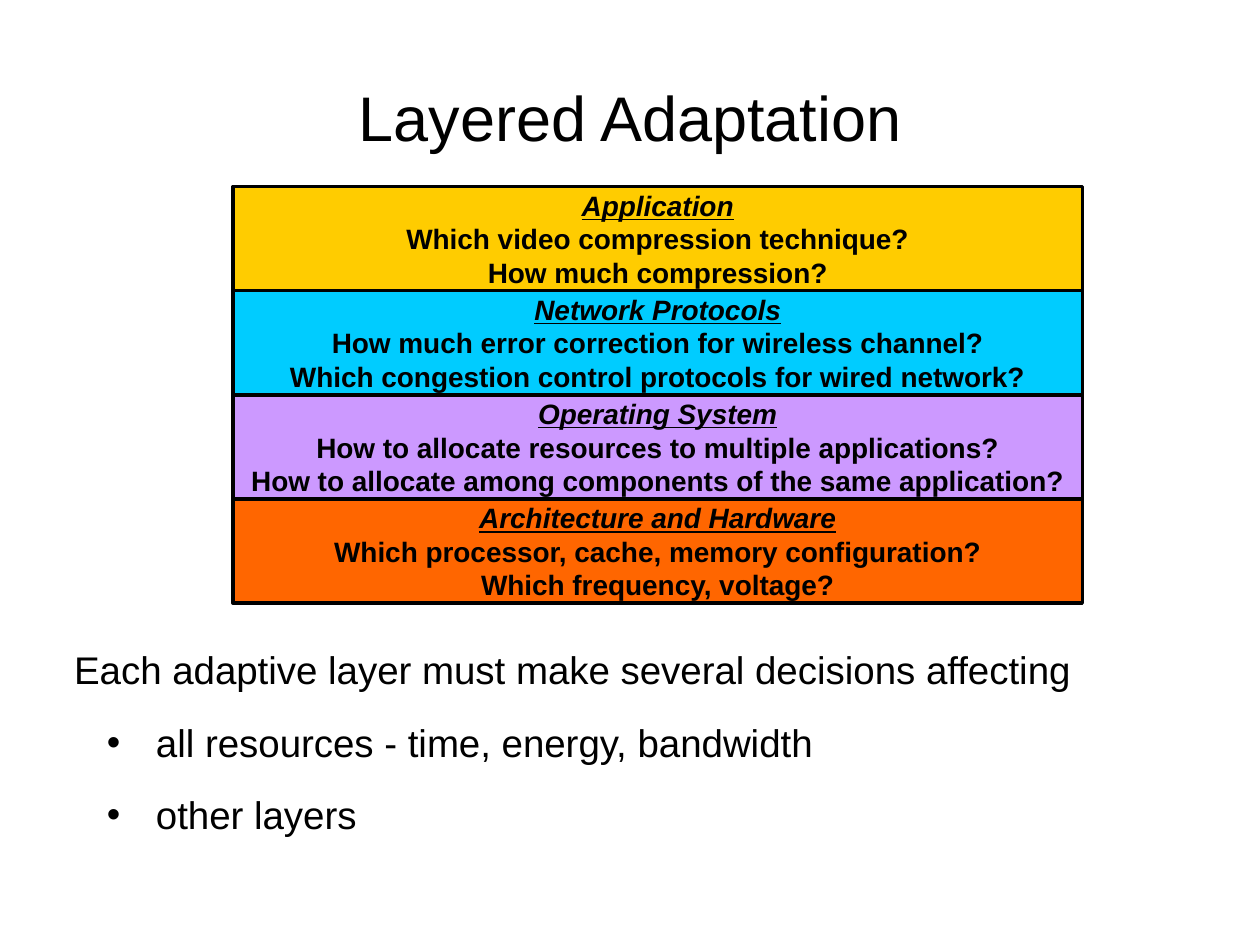
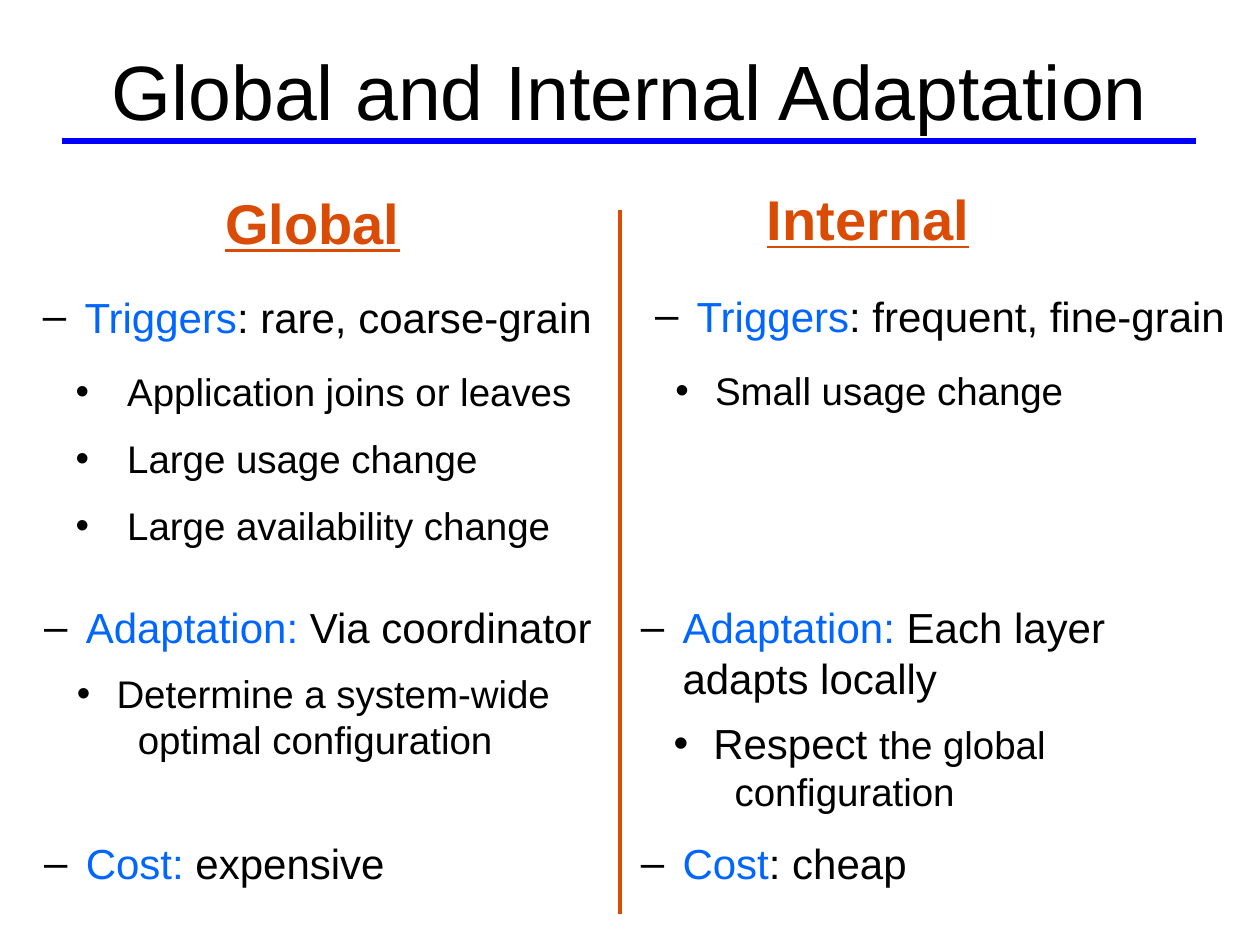
from dataclasses import dataclass
from lxml.etree import SubElement
from pptx import Presentation
from pptx.dml.color import RGBColor
from pptx.enum.shapes import MSO_CONNECTOR, MSO_SHAPE
from pptx.enum.text import MSO_ANCHOR, MSO_AUTO_SIZE, PP_ALIGN
from pptx.oxml.ns import qn
from pptx.util import Cm, Pt

FONT = "Arial"
COLORS = {
    "text": "000000",
    "term": "0066FF",
    "accent": "DA4C05",
    "rule": "0000FF",
    "application": "FFCC00",
    "network": "00CCFF",
    "system": "CC99FF",
    "hardware": "FF6600",
}
LAYERS = [
    ("application", "Application",
     "Which video compression technique?", "How much compression?"),
    ("network", "Network Protocols",
     "How much error correction for wireless channel?",
     "Which congestion control protocols for wired network?"),
    ("system", "Operating System",
     "How to allocate resources to multiple applications?",
     "How to allocate among components of the same application?"),
    ("hardware", "Architecture and Hardware",
     "Which processor, cache, memory configuration?", "Which frequency, voltage?"),
]


@dataclass
class Entry:
    runs: list
    bullet: str = ""
    margin: float = 0
    hanging: float = 0
    space: float = 0
    line_spacing: float = 1.0
    alignment: PP_ALIGN = PP_ALIGN.LEFT


def topic(term, rest, alignment=PP_ALIGN.LEFT):
    return Entry([(term, 24, "term"), (rest, 24, "text")], "–", 0.84, 0.84,
                 alignment=alignment)


def point(text, space, margin=1.46, lead=""):
    runs = [(lead, 24, "text")] if lead else []
    return Entry(runs + [(text, 22, "text")], "•", margin, margin - 0.66, space)


def continuation(text):
    return Entry([(text, 22, "text")], margin=1.89)


def rgb(name):
    return RGBColor.from_string(COLORS[name])


def style_font(font, size, color="text", bold=False, italic=False, underline=False):
    font.name = FONT
    font.size = Pt(size)
    font.color.rgb = rgb(color)
    font.bold = bold
    font.italic = italic
    font.underline = underline


def place(shape, left, top, width, height):
    shape.left, shape.top = Cm(left), Cm(top)
    shape.width, shape.height = Cm(width), Cm(height)


def prepare_frame(shape, anchor=MSO_ANCHOR.TOP):
    text_frame = shape.text_frame
    text_frame.word_wrap = True
    text_frame.auto_size = MSO_AUTO_SIZE.NONE
    text_frame.vertical_anchor = anchor
    return text_frame


def set_indent(paragraph, entry):
    properties = paragraph._p.get_or_add_pPr()
    properties.set("marL", str(Cm(entry.margin)))
    properties.set("indent", str(-Cm(entry.hanging)))
    if not entry.bullet:
        SubElement(properties, qn("a:buNone"))
        return
    color = SubElement(properties, qn("a:buClr"))
    SubElement(color, qn("a:srgbClr"), val=COLORS["text"])
    SubElement(properties, qn("a:buFont"), typeface=FONT)
    SubElement(properties, qn("a:buChar"), char=entry.bullet)


def fill_heading(shape, text, box, size, anchor, **style):
    place(shape, *box)
    text_frame = prepare_frame(shape, anchor)
    text_frame.text = text
    paragraph = text_frame.paragraphs[0]
    paragraph.alignment = PP_ALIGN.CENTER
    paragraph.space_before = Pt(0)
    style_font(paragraph.runs[0].font, size, **style)


def fill_list(shape, box, entries):
    place(shape, *box)
    text_frame = prepare_frame(shape)
    for index, entry in enumerate(entries):
        paragraph = text_frame.add_paragraph() if index else text_frame.paragraphs[0]
        set_indent(paragraph, entry)
        paragraph.alignment = entry.alignment
        paragraph.line_spacing = entry.line_spacing
        paragraph.space_before = Pt(entry.space)
        for text, size, color in entry.runs:
            run = paragraph.add_run()
            run.text = text
            style_font(run.font, size, color)


def add_list(slide, box, entries):
    fill_list(slide.shapes.add_textbox(0, 0, 0, 0), box, entries)


def add_layer(slide, top, height, color, name, *questions):
    shape = slide.shapes.add_shape(
        MSO_SHAPE.RECTANGLE, Cm(4.7), Cm(top), Cm(17.12), Cm(height))
    shape.shadow.inherit = False
    shape.fill.solid()
    shape.fill.fore_color.rgb = rgb(color)
    shape.line.color.rgb = rgb("text")
    shape.line.width = Pt(2)
    text_frame = prepare_frame(shape, MSO_ANCHOR.MIDDLE)
    text_frame.margin_top = text_frame.margin_bottom = 0
    text_frame.text = "\n".join([name, *questions])
    for index, paragraph in enumerate(text_frame.paragraphs):
        paragraph.alignment = PP_ALIGN.CENTER
        is_name = index == 0
        style_font(paragraph.runs[0].font, 16, bold=True,
                   italic=is_name, underline=is_name)


def add_rule(slide, start, end, color, width):
    line = slide.shapes.add_connector(
        MSO_CONNECTOR.STRAIGHT, *map(Cm, start), *map(Cm, end))
    line.line.color.rgb = rgb(color)
    line.line.width = Pt(width)
    SubElement(line._element.spPr, qn("a:effectLst"))


def build_layers_slide(presentation):
    slide = presentation.slides.add_slide(presentation.slide_layouts[1])
    fill_heading(slide.shapes.title, "Layered Adaptation",
                 (1.27, 0.76, 22.86, 3.18), 36, MSO_ANCHOR.MIDDLE)
    height = 2.1
    for index, layer in enumerate(LAYERS):
        add_layer(slide, 3.76 + index * height, height, *layer)
    lead = "Each adaptive layer must make several decisions affecting"
    fill_list(slide.placeholders[1], (1.24, 13, 23.5, 3.94), [
        Entry([(lead, 22, "text")], line_spacing=0.9),
        point("all resources - time, energy, bandwidth", 15, 1.65),
        point("other layers", 15, 1.65),
    ])


def build_comparison_slide(presentation):
    slide = presentation.slides.add_slide(presentation.slide_layouts[4])
    fill_heading(slide.shapes.title, "Global and Internal Adaptation",
                 (1.9, 0.43, 21.6, 2.74), 44, MSO_ANCHOR.MIDDLE)
    add_rule(slide, (1.24, 2.84), (24.1, 2.84), "rule", 3)
    add_rule(slide, (12.5, 4.24), (12.5, 18.42), "accent", 2)
    for index, text, left, top in [(1, "Global", 1.12, 3.68),
                                   (3, "Internal", 12.32, 3.6)]:
        fill_heading(slide.placeholders[index], text, (left, top, 10.36, 1.63), 32,
                     MSO_ANCHOR.TOP, color="accent", bold=True, underline=True)

    fill_list(slide.placeholders[2], (0.61, 5.74, 11.8, 5.31), [
        topic("Triggers", ": rare, coarse-grain"),
        point("Application joins or leaves", 15, 1.7),
        point("Large usage change", 12, 1.7),
        point("Large availability change", 12, 1.7),
    ])
    fill_list(slide.placeholders[4], (12.7, 5.72, 12.5, 2.69), [
        topic("Triggers", ": frequent, fine-grain", PP_ALIGN.CENTER),
        point("Small usage change", 15),
    ])

    left, right, width = 0.64, 12.67, 11.7
    add_list(slide, (left, 12.01, width, 3.45), [
        topic("Adaptation:", " Via coordinator"),
        point("Determine a system-wide", 10),
        continuation("optimal configuration"),
    ])
    add_list(slide, (right, 12.01, width, 4.47), [
        topic("Adaptation:", " Each layer adapts locally"),
        point("the global", 8.5, lead="Respect "),
        continuation("configuration"),
    ])
    add_list(slide, (left, 16.76, width, 1.27), [topic("Cost:", " expensive")])
    add_list(slide, (right, 16.76, width, 1.27), [topic("Cost", ": cheap")])


def main():
    presentation = Presentation()
    presentation.slide_width = Cm(25.4)
    presentation.slide_height = Cm(19.05)
    build_layers_slide(presentation)
    build_comparison_slide(presentation)
    presentation.save("out.pptx")


if __name__ == "__main__":
    main()
